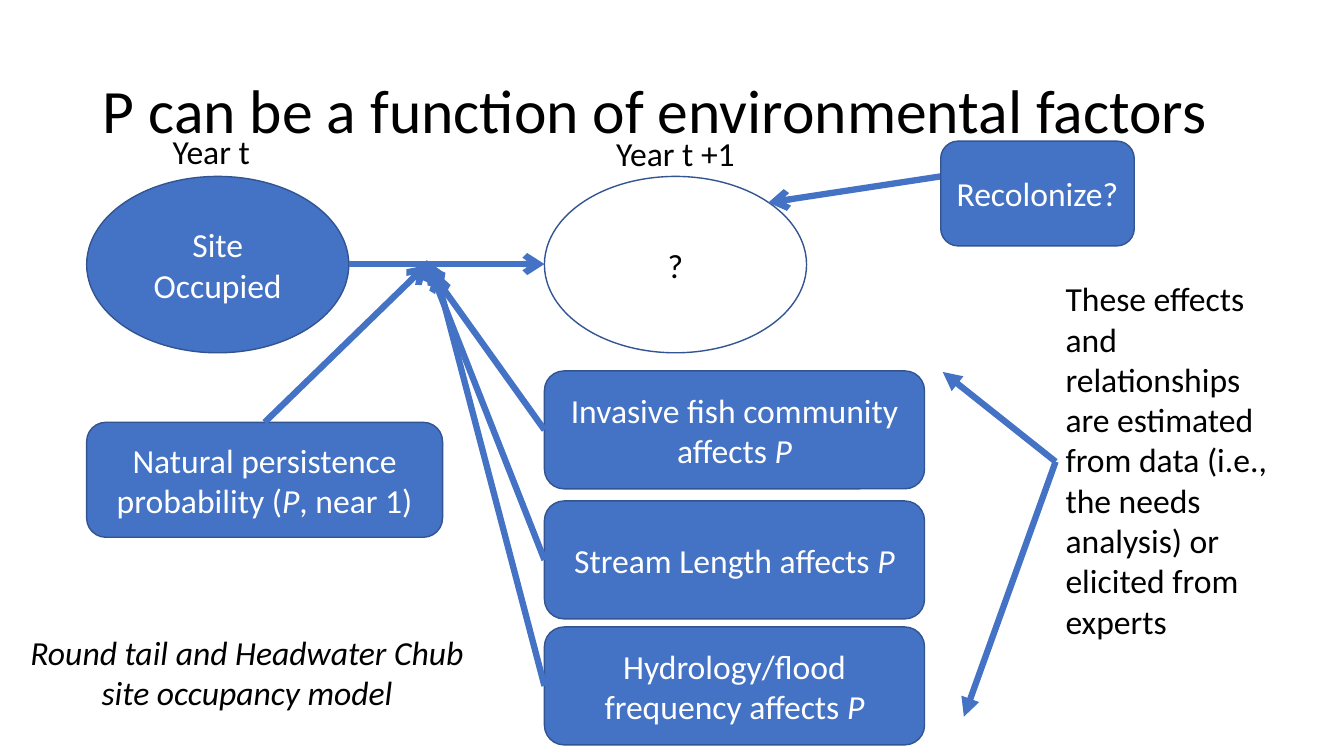
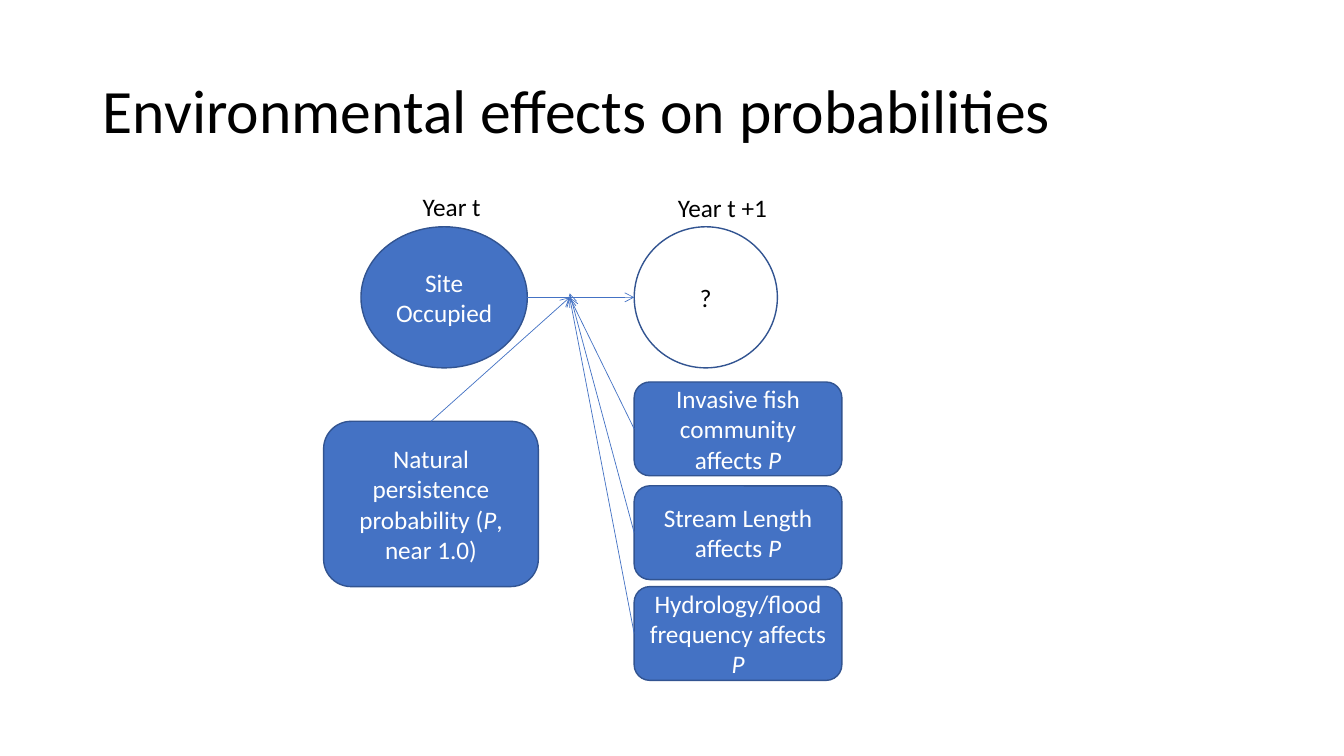
"""Build two slides on how environmental factors affect site persistence."""
import lxml.etree
import pptx
import pptx.dml.color
import pptx.enum.shapes
import pptx.enum.text
import pptx.oxml.ns
import pptx.util

PX = 9144
FONT = "Calibri"
COLORS = {"blue": "4472C4", "edge": "325491", "white": "FFFFFF", "black": "000000"}
TITLE_BOX = (92, 40, 1150, 145)
FACTORS = [
    "Invasive fish community affects *P*",
    "Stream Length affects *P*",
    "Hydrology/flood frequency affects *P*",
]
SHAPES = pptx.enum.shapes.MSO_SHAPE
ALIGN = pptx.enum.text.PP_ALIGN
ANCHOR = pptx.enum.text.MSO_ANCHOR

SLIDES = [
    {
        "title": "P can be a function of environmental factors",
        "size": 24,
        "weight": 4.5,
        "occupied": (86, 175, 260, 175),
        "unknown": (540, 175, 260, 175),
        "labels": [("Year t", (125, 125, 169, 50)), ("Year t +1", (576, 127, 188, 91))],
        "persistence": ("Natural persistence probability (*P*, near 1)", (86, 419, 353, 114)),
        "factor_tops": [368, 497, 622],
        "factor_size": (377, 117),
        "targets": [(423, 263), (423, 263), (423, 258), (432, 269)],
        "extra_boxes": [("Recolonize?", (933, 140, 192, 104))],
        "notes": [
            ("*Round tail and Headwater Chub site occupancy model*", (15, 622, 460, 91), ALIGN.CENTER),
            ("These effects and relationships are estimated from data (i.e., the needs analysis) "
             "or elicited from experts", (1047, 271, 237, 374), ALIGN.LEFT),
        ],
        "extra_arrows": [
            ((933, 175), (762, 201), "arrow"),
            ((1047, 458), (935, 369), "triangle"),
            ((1047, 458), (956, 711), "triangle"),
        ],
    },
    {
        "title": "Environmental effects on probabilities",
        "size": 18,
        "weight": 0.5,
        "occupied": (358, 225, 165, 140),
        "unknown": (629, 225, 142, 140),
        "labels": [("Year t", (402, 185, 92, 32)), ("Year t +1", (649, 186, 135, 40))],
        "persistence": ("Natural persistence probability (*P*, near 1.0)", (321, 418, 213, 164)),
        "factor_tops": [379, 482, 582],
        "factor_size": (206, 93),
        "targets": [(565, 295), (565, 295), (565, 291), (565, 295)],
        "extra_boxes": [],
        "notes": [],
        "extra_arrows": [],
    },
]


def rgb(name):
    return pptx.dml.color.RGBColor.from_string(COLORS[name])


def scaled(lengths):
    return [length * PX for length in lengths]


def set_all(target, values):
    for name, value in values.items():
        setattr(target, name, value)


def write(shape, text, size, color, align, anchor):
    set_all(shape.text_frame, {"word_wrap": True, "vertical_anchor": anchor})
    para = shape.text_frame.paragraphs[0]
    para.alignment = align
    for index, part in enumerate(text.split("*")):
        if part:
            span = para.add_run()
            span.text = part
            set_all(span.font, {"name": FONT, "size": pptx.util.Pt(size), "italic": index % 2 == 1})
            span.font.color.rgb = rgb(color)
    return para


def add_title(page, text):
    title = page.shapes.title
    set_all(title, dict(zip(("left", "top", "width", "height"), scaled(TITLE_BOX))))
    write(title, text, 44, "black", ALIGN.LEFT, ANCHOR.MIDDLE).line_spacing = 0.9


def add_box(page, kind, text, place, size, filled=True):
    box = page.shapes.add_shape(kind, *scaled(place))
    box.shadow.inherit = False
    if filled:
        box.fill.solid()
        box.fill.fore_color.rgb = rgb("blue")
    else:
        box.fill.background()
    box.line.color.rgb = rgb("edge")
    box.line.width = pptx.util.Pt(1)
    write(box, text, size, "white" if filled else "black", ALIGN.CENTER, ANCHOR.MIDDLE)
    return box


def add_label(page, text, place, size, align=ALIGN.CENTER):
    label = page.shapes.add_textbox(*scaled(place))
    write(label, text, size, "black", align, ANCHOR.TOP)


def add_arrow(page, start, end, weight, head="arrow"):
    arrow = page.shapes.add_connector(
        pptx.enum.shapes.MSO_CONNECTOR.STRAIGHT, *scaled(start + end))
    arrow.line.color.rgb = rgb("blue")
    arrow.line.width = pptx.util.Pt(weight)
    qualified = pptx.oxml.ns.qn
    lxml.etree.SubElement(arrow.get_or_add_ln(), qualified("a:tailEnd"), type=head)
    lxml.etree.SubElement(arrow.element.spPr, qualified("a:effectLst"))
    return arrow


def add_model(page, model):
    size, weight = model["size"], model["weight"]
    add_title(page, model["title"])
    add_box(page, SHAPES.OVAL, "Site Occupied", model["occupied"], size)
    add_box(page, SHAPES.OVAL, "?", model["unknown"], size, filled=False)
    left, top, width, height = model["occupied"]
    next_left = model["unknown"][0]
    middle = top + height // 2
    add_arrow(page, (left + width, middle), (next_left, middle), weight)

    text, place = model["persistence"]
    causes = [(text, place, 0)]
    for text, factor_top in zip(FACTORS, model["factor_tops"]):
        causes.append((text, (next_left, factor_top) + model["factor_size"], 1))
    for (text, place, side), target in zip(causes, model["targets"]):
        box = add_box(page, SHAPES.ROUNDED_RECTANGLE, text, place, size)
        add_arrow(page, place[:2], target, weight).begin_connect(box, side)

    for text, place in model["labels"]:
        add_label(page, text, place, size)
    for text, place, align in model["notes"]:
        add_label(page, text, place, size, align)
    for start, end, head in model["extra_arrows"]:
        add_arrow(page, start, end, weight, head)
    for text, place in model["extra_boxes"]:
        add_box(page, SHAPES.ROUNDED_RECTANGLE, text, place, size)


def main():
    deck = pptx.Presentation()
    set_all(deck, {"slide_width": 1333 * PX, "slide_height": 750 * PX})
    for model in SLIDES:
        add_model(deck.slides.add_slide(deck.slide_layouts[5]), model)
    deck.save("out.pptx")


if __name__ == "__main__":
    main()
